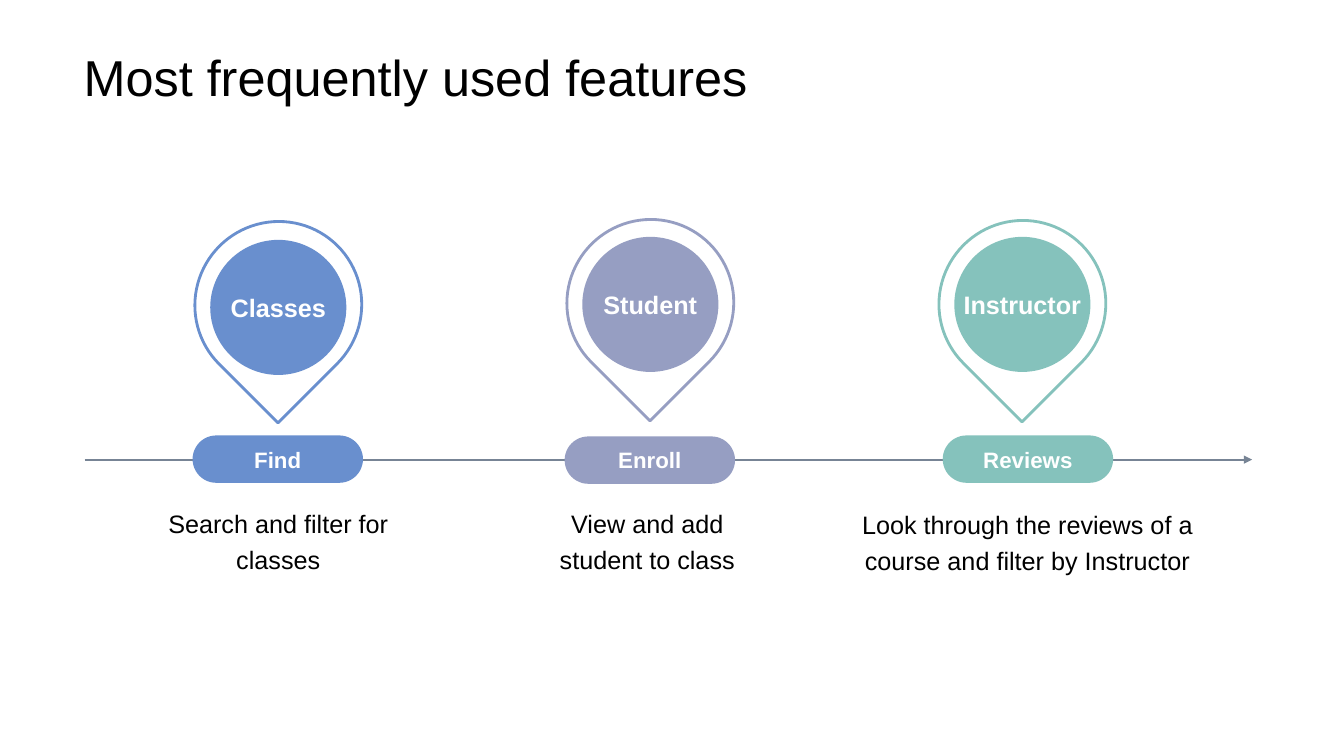
from dataclasses import dataclass

from lxml import etree
from pptx import Presentation
from pptx.dml.color import RGBColor
from pptx.enum.shapes import MSO_CONNECTOR, MSO_SHAPE
from pptx.enum.text import MSO_ANCHOR, MSO_AUTO_SIZE, PP_ALIGN
from pptx.oxml.ns import qn
from pptx.util import Emu, Pt

STRAIGHT = MSO_CONNECTOR.STRAIGHT
TEARDROP, OVAL, ROUNDED = MSO_SHAPE.TEAR, MSO_SHAPE.OVAL, MSO_SHAPE.ROUNDED_RECTANGLE
CENTER, LEFT = PP_ALIGN.CENTER, PP_ALIGN.LEFT
TOP, MIDDLE, BOTTOM = MSO_ANCHOR.TOP, MSO_ANCHOR.MIDDLE, MSO_ANCHOR.BOTTOM


@dataclass(frozen=True)
class Theme:
    font: str = "Arial"
    ink: str = "000000"
    paper: str = "FFFFFF"
    axis: str = "778495"
    title_size: float = 36
    body_size: float = 18
    pill_size: float = 15.9
    axis_width: float = 1.5
    pin_width: float = 2


THEME = Theme()

# Content: tops, pill_left and the caption box (left, top, width, height) are in px
TITLE = "Most frequently used features"
FEATURES = [
    dict(name="Classes", action="Find", caption="Search and filter for classes",
         color="698FCE", pin_top=220, disc_top=238, pill_left=191, pill_top=432,
         caption_box=(156, 493, 240, 81)),
    dict(name="Student", action="Enroll", caption="View and add student to class",
         color="969EC2", pin_top=218, disc_top=235, pill_left=560, pill_top=433,
         caption_box=(522, 493, 240, 81)),
    dict(name="Instructor", action="Reviews",
         caption="Look through the reviews of a course and filter by Instructor",
         color="85C2BC", pin_top=219, disc_top=235, pill_left=935, pill_top=432,
         caption_box=(837, 494, 364, 102)),
]

# Layout in px, 100 px to the inch
SLIDE_SIZE = (1333, 750)
TITLE_BOX = (73, 0, 1187, 112)
AXIS_LEFT, AXIS_RIGHT, AXIS_Y = 84, 1242, 456
FIRST_CENTER, PITCH = 276, 369
PIN_SIZE, DISC_SIZE, PILL_SIZE = (166, 165), (135, 134), (169, 47)


def px(length):
    return Emu(round(length * 9144))


def rgb(color):
    return RGBColor.from_string(color)


def write(shape, text, size, color, bold=False, align=CENTER, anchor=MIDDLE,
          wrap=False, spacing=1.0):
    frame = shape.text_frame
    frame.auto_size = MSO_AUTO_SIZE.NONE
    frame.word_wrap = wrap
    frame.vertical_anchor = anchor
    paragraph = frame.paragraphs[0]
    paragraph.text = text
    paragraph.alignment = align
    paragraph.line_spacing = spacing
    font = paragraph.font
    font.name, font.size, font.bold = THEME.font, Pt(size), bold
    font.color.rgb = rgb(color)


def add_shape(slide, kind, left, top, size, fill, outline=None):
    shape = slide.shapes.add_shape(kind, *map(px, (left, top, *size)))
    shape.shadow.inherit = False
    shape.fill.solid()
    shape.fill.fore_color.rgb = rgb(fill)
    if outline:
        shape.line.color.rgb = rgb(outline)
        shape.line.width = Pt(THEME.pin_width)
    else:
        shape.line.fill.background()
    return shape


def add_axis(slide):
    axis = slide.shapes.add_connector(
        STRAIGHT, px(AXIS_LEFT), px(AXIS_Y), px(AXIS_RIGHT), px(AXIS_Y))
    axis.line.color.rgb = rgb(THEME.axis)
    axis.line.width = Pt(THEME.axis_width)
    etree.SubElement(axis.line._get_or_add_ln(), qn("a:tailEnd"), type="triangle")
    etree.SubElement(axis._element.spPr, qn("a:effectLst"))


def add_feature(slide, feature, center):
    color = feature["color"]

    # Map pin
    pin = add_shape(slide, TEARDROP, center - PIN_SIZE[0] / 2, feature["pin_top"],
                    PIN_SIZE, THEME.paper, color)
    pin.rotation = 135
    disc = add_shape(slide, OVAL, center - DISC_SIZE[0] / 2, feature["disc_top"],
                     DISC_SIZE, color)
    write(disc, feature["name"], THEME.body_size, THEME.paper, bold=True)

    # Action on the axis
    pill = add_shape(slide, ROUNDED, feature["pill_left"], feature["pill_top"],
                     PILL_SIZE, color)
    pill.adjustments[0] = 0.5
    write(pill, feature["action"], THEME.pill_size, THEME.paper, bold=True)

    # Caption
    caption = slide.shapes.add_textbox(*map(px, feature["caption_box"]))
    write(caption, feature["caption"], THEME.body_size, THEME.ink,
          anchor=TOP, wrap=True, spacing=1.2)


def main():
    presentation = Presentation()
    presentation.slide_width, presentation.slide_height = map(px, SLIDE_SIZE)
    slide = presentation.slides.add_slide(presentation.slide_layouts[5])

    # Title
    title = slide.shapes.title
    title.left, title.top, title.width, title.height = map(px, TITLE_BOX)
    write(title, TITLE, THEME.title_size, THEME.ink, align=LEFT, anchor=BOTTOM,
          wrap=True, spacing=0.9)

    # Timeline
    add_axis(slide)
    for index, feature in enumerate(FEATURES):
        add_feature(slide, feature, FIRST_CENTER + index * PITCH)

    presentation.save("out.pptx")


if __name__ == "__main__":
    main()
